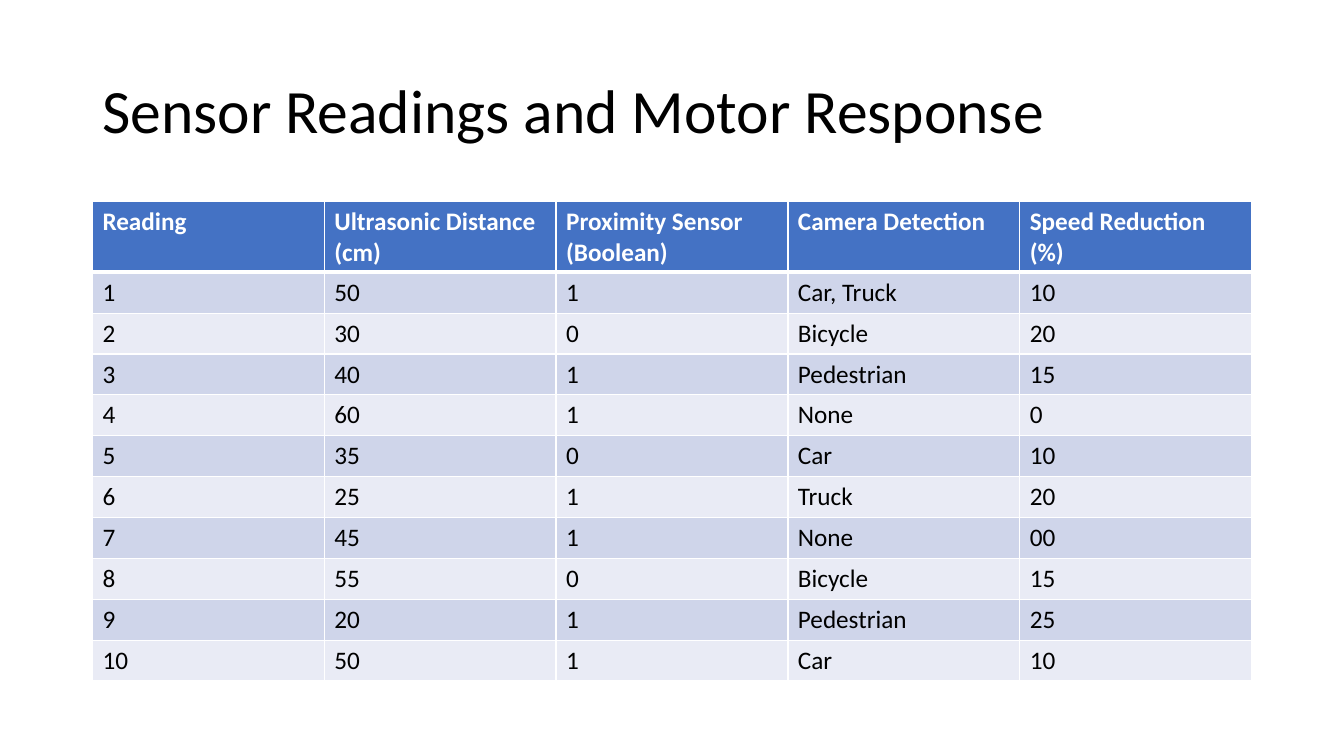
from lxml.etree import SubElement
from pptx import Presentation
from pptx.dml.color import RGBColor
from pptx.enum.text import MSO_ANCHOR
from pptx.oxml.ns import qn
from pptx.util import Cm, Pt

COLORS = {
    "header": "4472C4",
    "odd": "CFD5EA",
    "even": "E9EBF5",
    "border": "FFFFFF",
    "header_text": "FFFFFF",
    "text": "000000",
}
FONT = "Calibri"
LEFT, WIDTH = Cm(2.33), Cm(29.21)

HEADERS = ["Reading", "Ultrasonic Distance (cm)", "Proximity Sensor (Boolean)",
           "Camera Detection", "Speed Reduction (%)"]
READINGS = [
    ("1", "50", "1", "Car, Truck", "10"),
    ("2", "30", "0", "Bicycle", "20"),
    ("3", "40", "1", "Pedestrian", "15"),
    ("4", "60", "1", "None", "0"),
    ("5", "35", "0", "Car", "10"),
    ("6", "25", "1", "Truck", "20"),
    ("7", "45", "1", "None", "00"),
    ("8", "55", "0", "Bicycle", "15"),
    ("9", "20", "1", "Pedestrian", "25"),
    ("10", "50", "1", "Car", "10"),
]


def write(p, text, size, color, bold=False):
    r = p.add_run()
    r.text = text
    for name, value in {"name": FONT, "size": Pt(size), "bold": bold}.items():
        setattr(r.font, name, value)
    r.font.color.rgb = RGBColor.from_string(COLORS[color])


def add_title(s, text):
    tf = s.shapes.add_textbox(LEFT, Cm(1.01), WIDTH, Cm(3.68)).text_frame
    tf.word_wrap = True
    tf.vertical_anchor = MSO_ANCHOR.MIDDLE
    p = tf.paragraphs[0]
    p.line_spacing = 0.9
    write(p, text, 44, "text")


def set_borders(cell, top, bottom):
    """Draw the four cell borders; top and bottom are widths in points."""
    tc_pr = cell._tc.get_or_add_tcPr()
    for side, width in {"L": 1, "R": 1, "T": top, "B": bottom}.items():
        ln = SubElement(tc_pr, qn(f"a:ln{side}"), w=str(Pt(width)))
        fill = SubElement(ln, qn("a:solidFill"))
        SubElement(fill, qn("a:srgbClr"), val=COLORS["border"])


def add_readings_table(s, rows):
    header_height, row_height = Cm(1.78), Cm(1.03)
    height = header_height + row_height * (len(rows) - 1)
    table = s.shapes.add_table(len(rows), len(rows[0]), LEFT, Cm(5.08), WIDTH, height).table
    for i, values in enumerate(rows):
        is_header = i == 0
        table.rows[i].height = header_height if is_header else row_height
        fill = "header" if is_header else "odd" if i % 2 else "even"
        for cell, text in zip(table.rows[i].cells, values):
            set_borders(cell, 3 if i == 1 else 1, 3 if is_header else 1)
            cell.fill.solid()
            cell.fill.fore_color.rgb = RGBColor.from_string(COLORS[fill])
            write(cell.text_frame.paragraphs[0], text, 18,
                  "header_text" if is_header else "text", is_header)


def main():
    prs = Presentation()
    prs.slide_width, prs.slide_height = Cm(33.87), Cm(19.05)
    s = prs.slides.add_slide(prs.slide_layouts[6])
    add_title(s, "Sensor Readings and Motor Response")
    add_readings_table(s, [HEADERS, *READINGS])
    prs.save("out.pptx")


if __name__ == "__main__":
    main()
